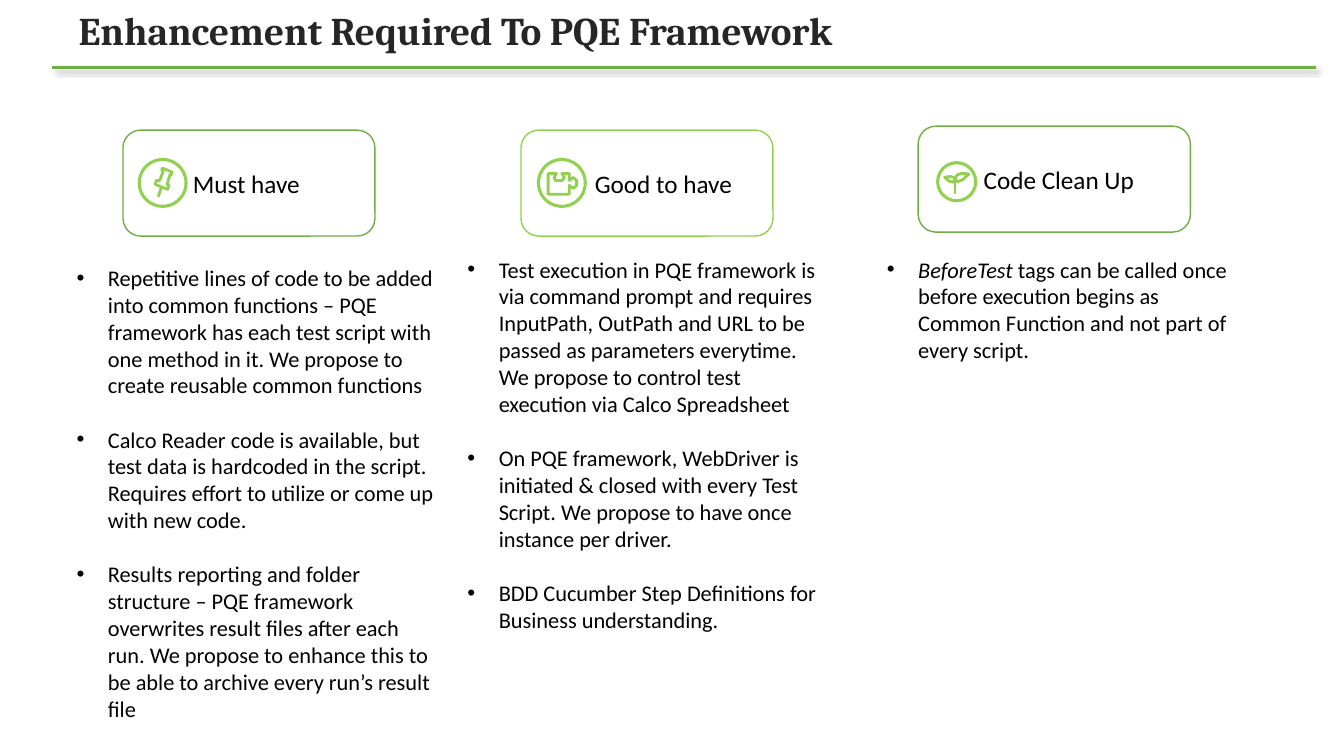
from lxml.etree import SubElement
from pptx import Presentation
from pptx.dml.color import RGBColor
from pptx.enum.shapes import MSO_CONNECTOR, MSO_SHAPE
from pptx.enum.text import MSO_ANCHOR, MSO_AUTO_SIZE, PP_ALIGN
from pptx.oxml.ns import qn
from pptx.util import Cm, Pt

HUES = {"white": "FFFFFF", "black": "000000", "dark": "262626",
        "green": "70AD47", "lime": "92D050"}

PIN = [
    [(50, 20), (69, 28), (68, 33), (65, 33), (59, 53), (63, 55),
     (60, 63), (35, 53), (37, 45), (44, 45), (51, 27), (48, 23), (50, 20)],
    [(47, 60), (41, 78)],
]
PIECE = [
    [(22, 31), (39, 31), (34, 39), (37, 45), (51, 45), (55, 39), (50, 31),
     (65, 31), (65, 45), (73, 39), (80, 45), (80, 55), (73, 61), (65, 55),
     (65, 73), (22, 73), (22, 31)],
]
SPROUT = [
    [(80, 31), (62, 29), (50, 34), (46, 44), (52, 50), (65, 45), (80, 31)],
    [(20, 39), (35, 37), (44, 40), (46, 46), (41, 51), (32, 49), (20, 39)],
    [(46, 46), (46, 80)],
]

GROUPS = [
    dict(card=(3.1, 3.28, 6.35, 2.67), head="Must have", inset=1.63,
         hue="green", badge=(0.38, 0.71, 1.24), art=PIN,
         body=(1.68, 6.53, 9.55, 12.57), points=[
             "Repetitive lines of code to be added into common functions – PQE "
             "framework has each test script with one method in it. We propose "
             "to create reusable common functions",
             "Calco Reader code is available, but test data is hardcoded in the "
             "script. Requires effort to utilize or come up with new code.",
             "Results reporting and folder structure – PQE framework overwrites "
             "result files after each run. We propose to enhance this to be "
             "able to archive every run’s result file"]),
    dict(card=(13.13, 3.28, 6.35, 2.67), head="Good to have", inset=1.73,
         hue="lime", badge=(0.41, 0.71, 1.24), art=PIECE,
         body=(11.53, 6.32, 9.55, 9.83), points=[
             "Test execution in PQE framework is via command prompt and requires "
             "InputPath, OutPath and URL to be passed as parameters everytime. "
             "We propose to control test execution via Calco Spreadsheet",
             "On PQE framework, WebDriver is initiated & closed with every Test "
             "Script. We propose to have once instance per driver.",
             "BDD Cucumber Step Definitions for Business understanding."]),
    dict(card=(23.14, 3.18, 6.86, 2.67), head="Code Clean Up", inset=1.52,
         hue="green", badge=(0.46, 0.89, 1.02), art=SPROUT,
         body=(22.1, 6.32, 9.55, 3.68), lead="BeforeTest", points=[
             " tags can be called once before execution begins as Common "
             "Function and not part of every script."]),
]


def tint(name):
    """Return the named colour."""
    return RGBColor.from_string(HUES[name])


def write(frame, texts, size=16, font="Calibri", hue="black", bold=False,
          lead="", bullet=False, gap=0, inset=0.25, anchor=MSO_ANCHOR.TOP,
          line=1.0):
    """Fill a text frame with formatted paragraphs."""
    frame.word_wrap = True
    frame.vertical_anchor = anchor
    frame.margin_left = Cm(inset)
    for i, text in enumerate(texts):
        para = frame.paragraphs[0] if i == 0 else frame.add_paragraph()
        para.alignment = PP_ALIGN.LEFT
        para.line_spacing = line
        para.space_before = Pt(gap if i else 0)
        if bullet:
            props = para._p.get_or_add_pPr()
            props.set("marL", str(Cm(0.79)))
            props.set("indent", str(-Cm(0.79)))
            SubElement(props, qn("a:buFont"), typeface="Arial")
            SubElement(props, qn("a:buChar"), char="•")
        parts = [(lead, True)] if lead and i == 0 else []
        for words, slant in parts + [(text, False)]:
            run = para.add_run()
            run.text = words
            run.font.size = Pt(size)
            run.font.name = font
            run.font.bold = bold
            run.font.italic = slant
            run.font.color.rgb = tint(hue)


def style(shape, hue, width, fill=None):
    """Set outline and fill and drop the shadow."""
    shape.shadow.inherit = False
    shape.line.color.rgb = tint(hue)
    shape.line.width = Pt(width)
    if fill:
        shape.fill.solid()
        shape.fill.fore_color.rgb = tint(fill)
    else:
        shape.fill.background()


def header(slide, x, y, w, h):
    """Place the title and the shaded rule beneath it."""
    title = slide.shapes.title
    title.left, title.top, title.width, title.height = map(Cm, (x, y, w, h))
    title.fill.solid()
    title.fill.fore_color.rgb = tint("white")
    write(title.text_frame, ["Enhancement Required To PQE Framework"], size=28,
          font="Cambria", hue="dark", bold=True, inset=1.78,
          anchor=MSO_ANCHOR.MIDDLE, line=0.9)
    level = Cm(y + h + 0.2)
    rule = slide.shapes.add_connector(MSO_CONNECTOR.STRAIGHT, Cm(x + 1.12),
                                      level, Cm(x + 32.97), level)
    rule.line.color.rgb = tint("green")
    rule.line.width = Pt(1.5)
    effects = SubElement(rule._element.spPr, qn("a:effectLst"))
    shade = SubElement(effects, qn("a:outerShdw"), blurRad=str(Pt(4)),
                       dist=str(Pt(3)), dir="2700000", algn="tl",
                       rotWithShape="0")
    color = SubElement(shade, qn("a:srgbClr"), val=HUES["black"])
    SubElement(color, qn("a:alpha"), val="40000")


def icon(slide, x, y, size, art):
    """Draw a ringed line icon from percent points."""
    ring = slide.shapes.add_shape(MSO_SHAPE.OVAL, Cm(x + 0.03), Cm(y + 0.03),
                                  Cm(size - 0.06), Cm(size - 0.06))
    style(ring, "lime", 2.2)
    for stroke in art:
        spots = [(Cm(x + size * a / 100), Cm(y + size * b / 100))
                 for a, b in stroke]
        pen = slide.shapes.build_freeform(*spots[0])
        pen.add_line_segments(spots[1:], close=spots[0] == spots[-1])
        style(pen.convert_to_shape(), "lime", 2)


def column(slide, group):
    """Place a heading card with its icon and bullet list."""
    x, y, w, h = group["card"]
    card = slide.shapes.add_shape(MSO_SHAPE.ROUNDED_RECTANGLE,
                                  *map(Cm, (x, y, w, h)))
    style(card, group["hue"], 1, "white")
    write(card.text_frame, [group["head"]], size=18, inset=group["inset"],
          anchor=MSO_ANCHOR.MIDDLE)
    left, top, size = group["badge"]
    icon(slide, x + left, y + top, size, group["art"])
    body = slide.shapes.add_textbox(*map(Cm, group["body"])).text_frame
    body.auto_size = MSO_AUTO_SIZE.SHAPE_TO_FIT_TEXT
    write(body, group["points"], lead=group.get("lead", ""), bullet=True,
          gap=19.5)


def main():
    """Build and save the slide."""
    deck = Presentation()
    deck.slide_width, deck.slide_height = Cm(33.87), Cm(19.05)
    slide = deck.slides.add_slide(deck.slide_layouts[5])
    header(slide, 0.2, 0.15, 31.27, 1.35)
    for group in GROUPS:
        column(slide, group)
    deck.save("out.pptx")


main()
